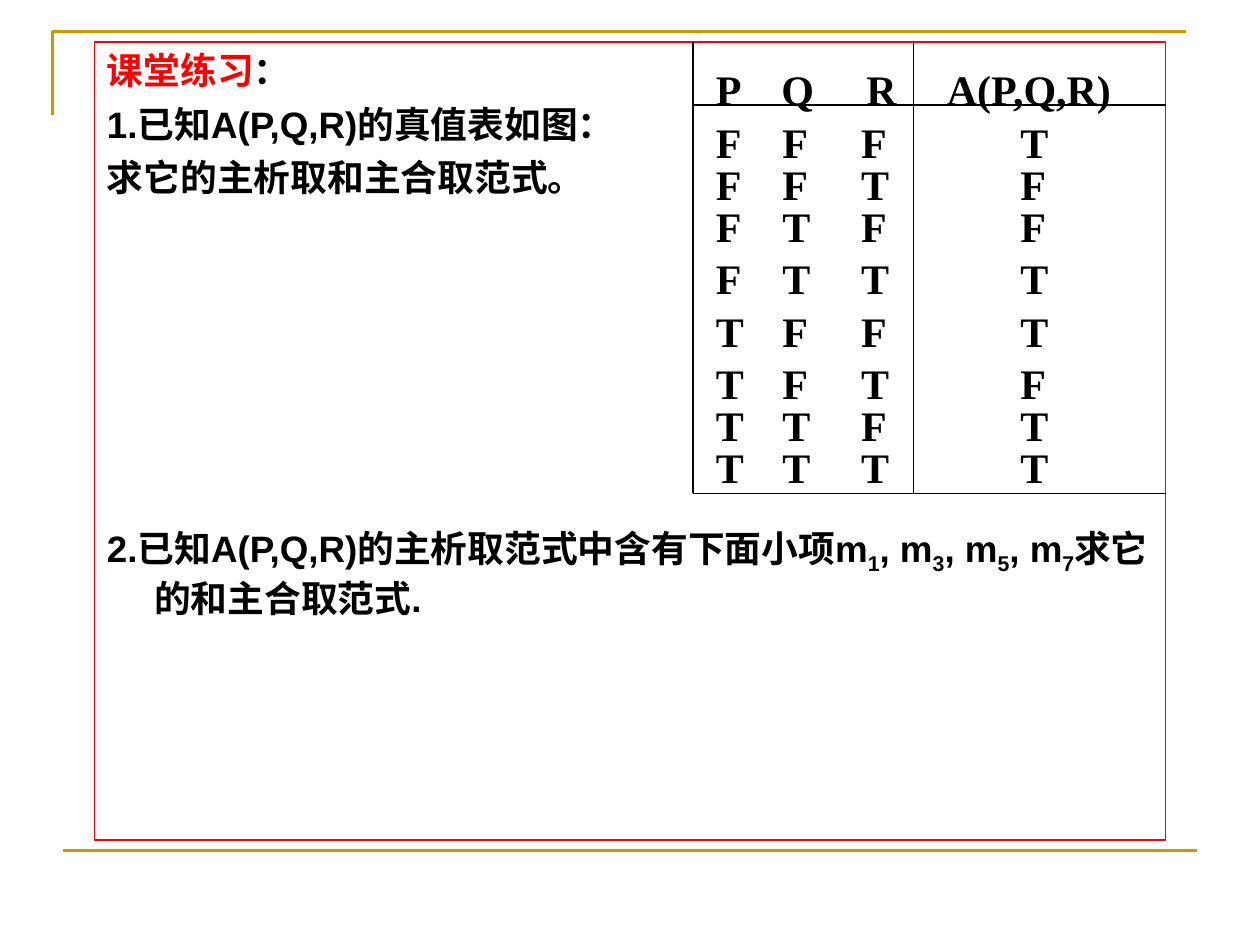
from dataclasses import dataclass
from itertools import accumulate, product

from lxml import etree
from pptx import Presentation
from pptx.dml.color import RGBColor
from pptx.enum.shapes import MSO_CONNECTOR, MSO_SHAPE
from pptx.enum.text import MSO_ANCHOR, PP_ALIGN
from pptx.oxml.ns import qn
from pptx.util import Pt

STRAIGHT = MSO_CONNECTOR.STRAIGHT
RECTANGLE = MSO_SHAPE.RECTANGLE
TOP = MSO_ANCHOR.TOP
LEFT = PP_ALIGN.LEFT
COLORS = {"gold": "CC9900", "red": "FF0000", "black": "000000"}
SANS, SERIF = "Arial", "Times New Roman"
HEADER_STOPS = (37.5, 86, 132)
VALUE_STOPS = (38, 83, 174)
RESULTS = "TFFTTFTT"
ROW_TOPS = accumulate((60, 24, 24, 30, 30, 30, 24, 24))


@dataclass(frozen=True)
class Rule:
    start: tuple[float, float]
    end: tuple[float, float]
    color: str = "black"
    width: float = 0.75


@dataclass(frozen=True)
class TableRow:
    cells: tuple[str, ...]
    top: float
    width: float = 222
    stops: tuple[float, ...] = VALUE_STOPS


RULES = (
    Rule((396, 60), (666, 60)),
    Rule((522, 24), (522, 282)),
    Rule((396, 24), (396, 282)),
    Rule((396, 282), (666, 282)),
)
ROWS = (
    TableRow(("P", "Q", "R", "A(P,Q,R)"), 30, 258, HEADER_STOPS),
    *(
        TableRow((*values, result), top)
        for values, result, top in zip(product("FT", repeat=3), RESULTS, ROW_TOPS)
    ),
)


def rgb(name: str) -> RGBColor:
    """Return a named colour of the slide."""
    return RGBColor.from_string(COLORS[name])


def add_text(para, text: str, *, size: float = 21, font: str = SANS,
             color: str = "black", baseline: int = 0) -> None:
    """Append one bold formatted span to a paragraph."""
    span = para.add_run()
    span.text = text
    span.font.size = Pt(size)
    span.font.name = font
    span.font.bold = True
    span.font.color.rgb = rgb(color)
    if baseline:
        span.font._element.set("baseline", str(baseline * 1000))


def draw_rule(page, rule: Rule) -> None:
    """Draw a straight line without shadow."""
    line = page.shapes.add_connector(STRAIGHT, *map(Pt, rule.start + rule.end))
    line.line.color.rgb = rgb(rule.color)
    line.line.width = Pt(rule.width)
    etree.SubElement(line._element.spPr, qn("a:effectLst"))


def draw_corner(page) -> None:
    """Draw the open gold corner at the top left."""
    builder = page.shapes.build_freeform(Pt(30), Pt(66))
    builder.add_line_segments([(Pt(30), Pt(18)), (Pt(678), Pt(18))], close=False)
    corner = builder.convert_to_shape()
    corner.shadow.inherit = False
    corner.fill.background()
    corner.line.color.rgb = rgb("gold")
    corner.line.width = Pt(1.5)


def draw_exercises(page) -> None:
    """Draw the red frame that holds both exercises."""
    box = page.shapes.add_shape(RECTANGLE, Pt(54), Pt(24), Pt(612), Pt(456))
    box.shadow.inherit = False
    box.fill.background()
    box.line.color.rgb = rgb("red")
    box.line.width = Pt(0.75)
    frame = box.text_frame
    frame.word_wrap = True
    frame.vertical_anchor = TOP
    paras = [frame.paragraphs[0], *(frame.add_paragraph() for _ in range(3))]
    for para, space in zip(paras, (0, 5.2, 5.2, 187)):
        para.alignment = LEFT
        para.space_before = Pt(space)
        properties = para._p.get_or_add_pPr()
        properties.set("marL", str(Pt(27)))
        properties.set("indent", str(Pt(-27)))
    title, first, task, second = paras
    add_text(title, "课堂练习", color="red")
    add_text(title, "：")
    add_text(first, "1.已知A(P,Q,R)的真值表如图：")
    add_text(task, "求它的主析取和主合取范式。")
    add_text(second, "2.已知A(P,Q,R)的主析取范式中含有下面小项m")
    for index in "1357":
        add_text(second, index, baseline=-25)
        add_text(second, "求它的和主合取范式." if index == "7" else ", m")


def draw_row(page, row: TableRow) -> None:
    """Draw one row of the truth table with tab-aligned cells."""
    box = page.shapes.add_textbox(Pt(402), Pt(row.top), Pt(row.width), Pt(36))
    frame = box.text_frame
    frame.word_wrap = True
    frame.margin_top = Pt(6.5)
    para = frame.paragraphs[0]
    tabs = etree.SubElement(para._p.get_or_add_pPr(), qn("a:tabLst"))
    for stop in row.stops:
        etree.SubElement(tabs, qn("a:tab"), pos=str(Pt(stop)), algn="l")
    add_text(para, "\t".join(row.cells), size=24, font=SERIF)


def main() -> None:
    """Build the truth table exercise slide."""
    deck = Presentation()
    deck.slide_width, deck.slide_height = Pt(720), Pt(540)
    page = deck.slides.add_slide(deck.slide_layouts[6])
    draw_corner(page)
    draw_rule(page, Rule((36, 486), (684, 486), "gold", 1.5))
    draw_exercises(page)
    for row in ROWS:
        draw_row(page, row)
    for rule in RULES:
        draw_rule(page, rule)
    deck.save("out.pptx")


if __name__ == "__main__":
    main()
